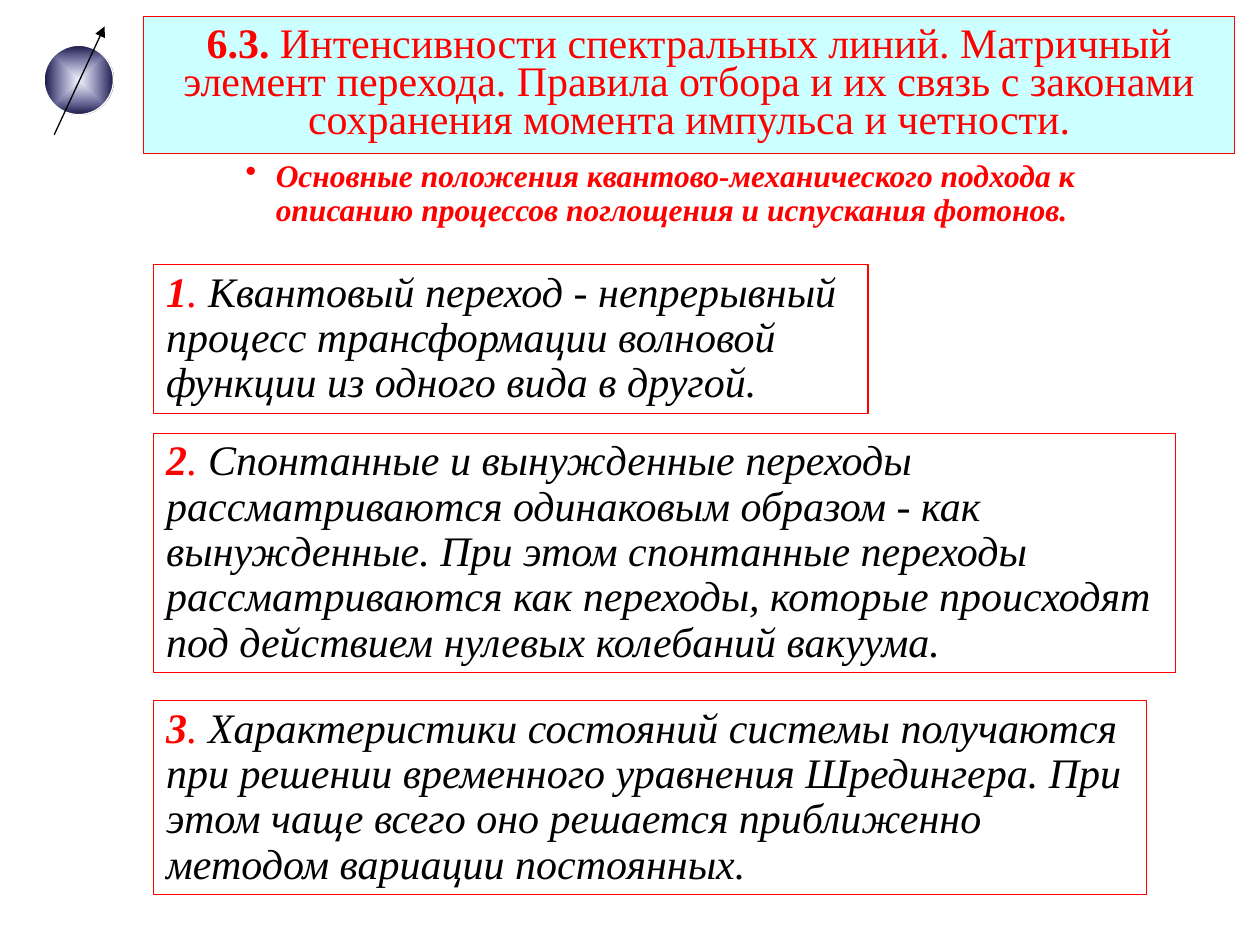
from dataclasses import dataclass

import pptx
import pptx.dml.color
import pptx.enum.shapes
import pptx.enum.text
import pptx.oxml.ns
import pptx.oxml.xmlchemy
import pptx.util
from lxml import etree

Inches = pptx.util.Inches
Pt = pptx.util.Pt
RGBColor = pptx.dml.color.RGBColor
PP_ALIGN = pptx.enum.text.PP_ALIGN
MSO_ANCHOR = pptx.enum.text.MSO_ANCHOR
MSO_SHAPE = pptx.enum.shapes.MSO_SHAPE
qn = pptx.oxml.ns.qn

RED = RGBColor(0xFF, 0x00, 0x00)
BLACK = RGBColor(0x00, 0x00, 0x00)
WHITE = RGBColor(0xFF, 0xFF, 0xFF)
PALE_CYAN = RGBColor(0xCC, 0xFF, 0xFF)
INDIGO = RGBColor(0x33, 0x33, 0x99)
NAVY = RGBColor(0x17, 0x17, 0x46)
FONT = "Times New Roman"
LINE_WIDTH = Pt(0.75)
THESIS_LEFT = 1.22


@dataclass
class Thesis:
    number: str
    text: str
    top: float
    width: float
    height: float


THESES = [
    Thesis("1", "Квантовый переход - непрерывный процесс трансформации волновой "
           "функции из одного вида в другой.", 2.1, 5.67, 1.18),
    Thesis("2", "Спонтанные и вынужденные переходы рассматриваются одинаковым "
           "образом - как вынужденные. При этом спонтанные переходы "
           "рассматриваются как переходы, которые происходят под действием "
           "нулевых колебаний вакуума.", 3.44, 8.11, 1.9),
    Thesis("3", "Характеристики состояний системы получаются при решении "
           "временного уравнения Шредингера. При этом чаще всего оно решается "
           "приближенно методом вариации постоянных.", 5.56, 7.88, 1.54),
]


def add_run(p, text: str, size: float, color: RGBColor,
            bold: bool = False, italic: bool = False) -> None:
    r = p.add_run()
    r.text = text
    r.font.name = FONT
    r.font.size = Pt(size)
    r.font.color.rgb = color
    r.font.bold = bold
    r.font.italic = italic


def add_box(s, left: float, top: float, width: float, height: float,
            fill: RGBColor | None = None):
    sp = s.shapes.add_shape(MSO_SHAPE.RECTANGLE, Inches(left), Inches(top),
                            Inches(width), Inches(height))
    sp.shadow.inherit = False
    if fill is None:
        sp.fill.background()
    else:
        sp.fill.solid()
        sp.fill.fore_color.rgb = fill
    sp.line.color.rgb = RED
    sp.line.width = LINE_WIDTH
    sp.text_frame.word_wrap = True
    return sp


def add_title(s) -> None:
    tf = add_box(s, 1.14, 0.13, 8.66, 1.09, PALE_CYAN).text_frame
    tf.vertical_anchor = MSO_ANCHOR.MIDDLE
    p = tf.paragraphs[0]
    p.alignment = PP_ALIGN.CENTER
    p.line_spacing = 0.75
    add_run(p, "6.3.", 24, RED, bold=True)
    add_run(p, " Интенсивности спектральных линий. Матричный элемент перехода. "
            "Правила отбора и их связь с законами сохранения момента импульса "
            "и четности.", 24, RED)


def add_subtitle(s) -> None:
    sp = s.shapes.add_textbox(Inches(1.85), Inches(1.22), Inches(7.32), Inches(0.64))
    tf = sp.text_frame
    tf.word_wrap = True
    p = tf.paragraphs[0]
    p.line_spacing = 0.9
    p.space_before = Pt(4.5)
    add_run(p, "Основные положения квантово-механического подхода к описанию "
            "процессов поглощения и испускания фотонов.", 18, RED, True, True)
    pPr = p._p.get_or_add_pPr()
    pPr.set("marL", str(Inches(0.24)))
    pPr.set("indent", str(-Inches(0.24)))
    color = etree.SubElement(pPr, qn("a:buClr"))
    etree.SubElement(color, qn("a:srgbClr"), val=str(RED))
    etree.SubElement(pPr, qn("a:buChar"), char="•")


def add_thesis(s, thesis: Thesis) -> None:
    tf = add_box(s, THESIS_LEFT, thesis.top, thesis.width, thesis.height).text_frame
    tf.vertical_anchor = MSO_ANCHOR.TOP
    p = tf.paragraphs[0]
    p.alignment = PP_ALIGN.LEFT
    p.line_spacing = 0.9
    p.space_before = Pt(6)
    add_run(p, thesis.number, 24, RED, bold=True, italic=True)
    add_run(p, ". ", 24, RED, italic=True)
    add_run(p, thesis.text, 24, BLACK, italic=True)


def add_spin_icon(s) -> None:
    group = s.shapes.add_group_shape()
    ball = group.shapes.add_shape(MSO_SHAPE.OVAL, Inches(0.35), Inches(0.36),
                                  Inches(0.55), Inches(0.55))
    ball.shadow.inherit = False
    ball.line.color.rgb = WHITE
    ball.line.width = LINE_WIDTH
    ball.fill.gradient()
    for stop, color, position in zip(ball.fill.gradient_stops, (INDIGO, NAVY), (0, 1)):
        stop.color.rgb = color
        stop.position = position
    grad = ball._element.spPr.find(qn("a:gradFill"))
    etree.SubElement(next(grad.iter(qn("a:srgbClr"))), qn("a:alpha"), val="5000")
    grad.remove(grad.find(qn("a:lin")))
    shade = etree.SubElement(grad, qn("a:path"), attrib={"path": "rect"})
    etree.SubElement(shade, qn("a:fillToRect"),
                     attrib=dict.fromkeys("ltrb", "50000"))

    arrow = group.shapes.add_connector(pptx.enum.shapes.MSO_CONNECTOR.STRAIGHT,
                                       Inches(0.43), Inches(1.07),
                                       Inches(0.83), Inches(0.21))
    arrow.line.color.rgb = BLACK
    arrow.line.width = LINE_WIDTH
    etree.SubElement(arrow.line._get_or_add_ln(), qn("a:tailEnd"), type="triangle")
    etree.SubElement(arrow._element.spPr, qn("a:effectLst"))


def main() -> None:
    prs = pptx.Presentation()
    prs.slide_width = Inches(10)
    prs.slide_height = Inches(7.5)
    s = prs.slides.add_slide(prs.slide_layouts[6])
    add_subtitle(s)
    add_title(s)
    add_spin_icon(s)
    for thesis in THESES:
        add_thesis(s, thesis)
    prs.save("out.pptx")


if __name__ == "__main__":
    main()
